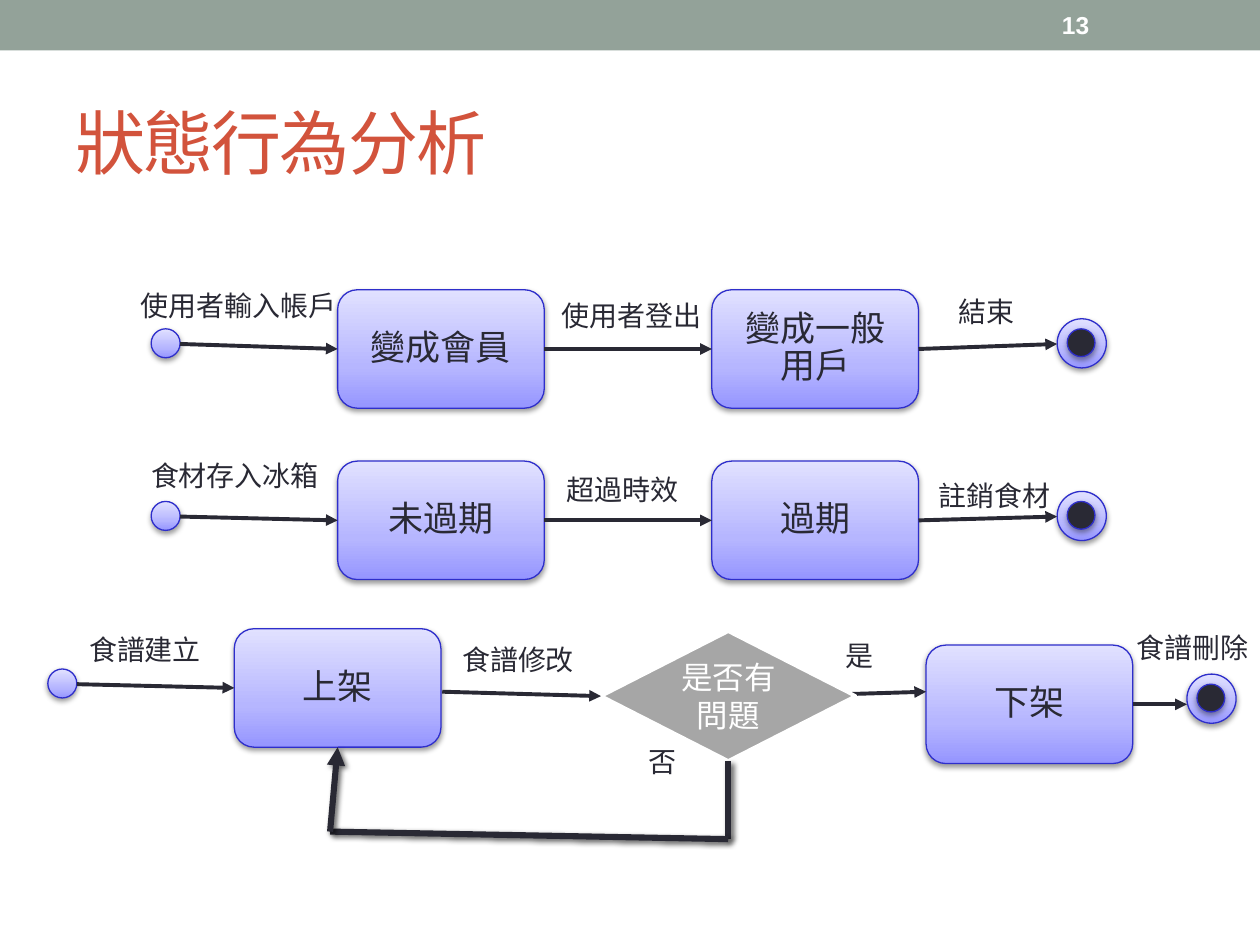
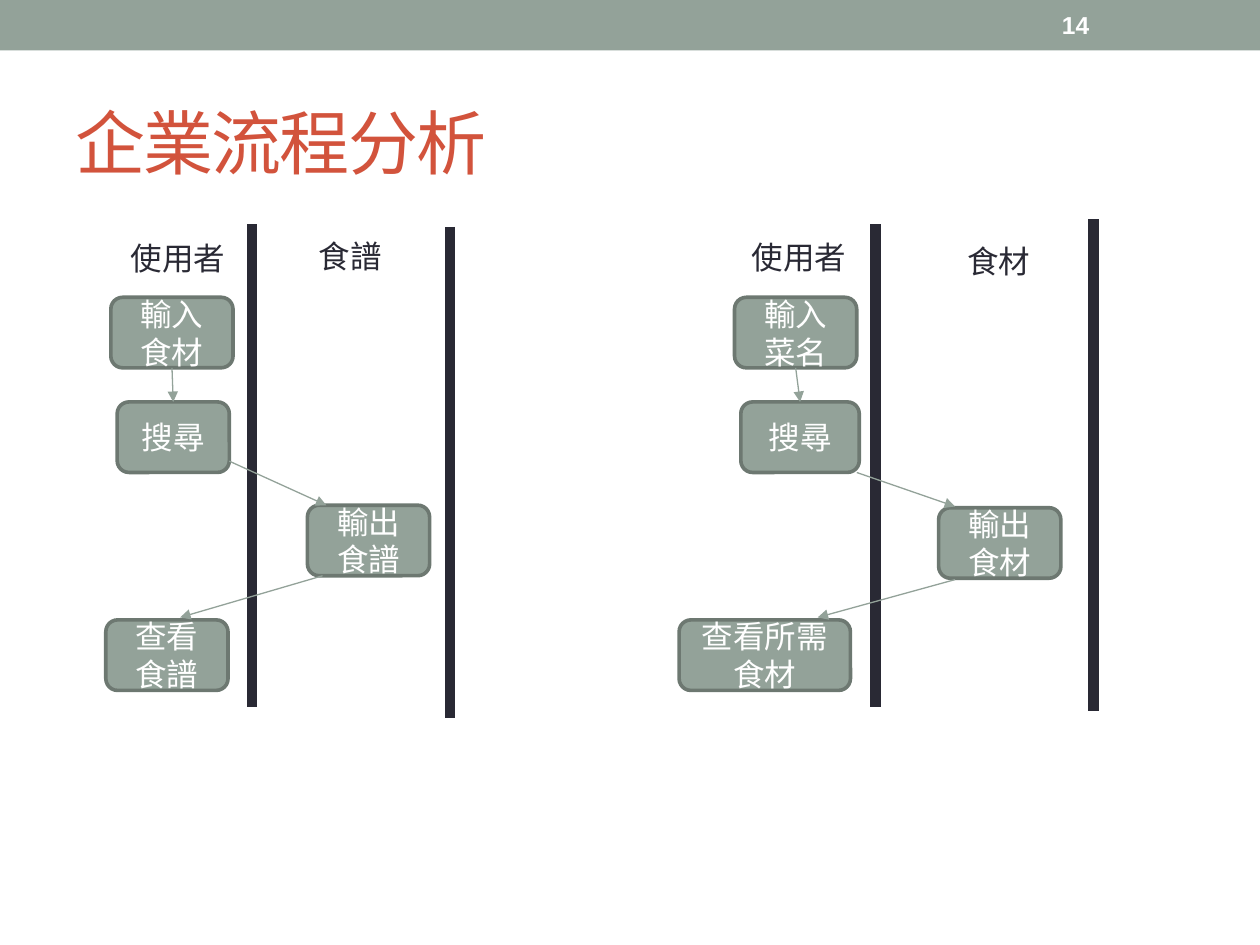
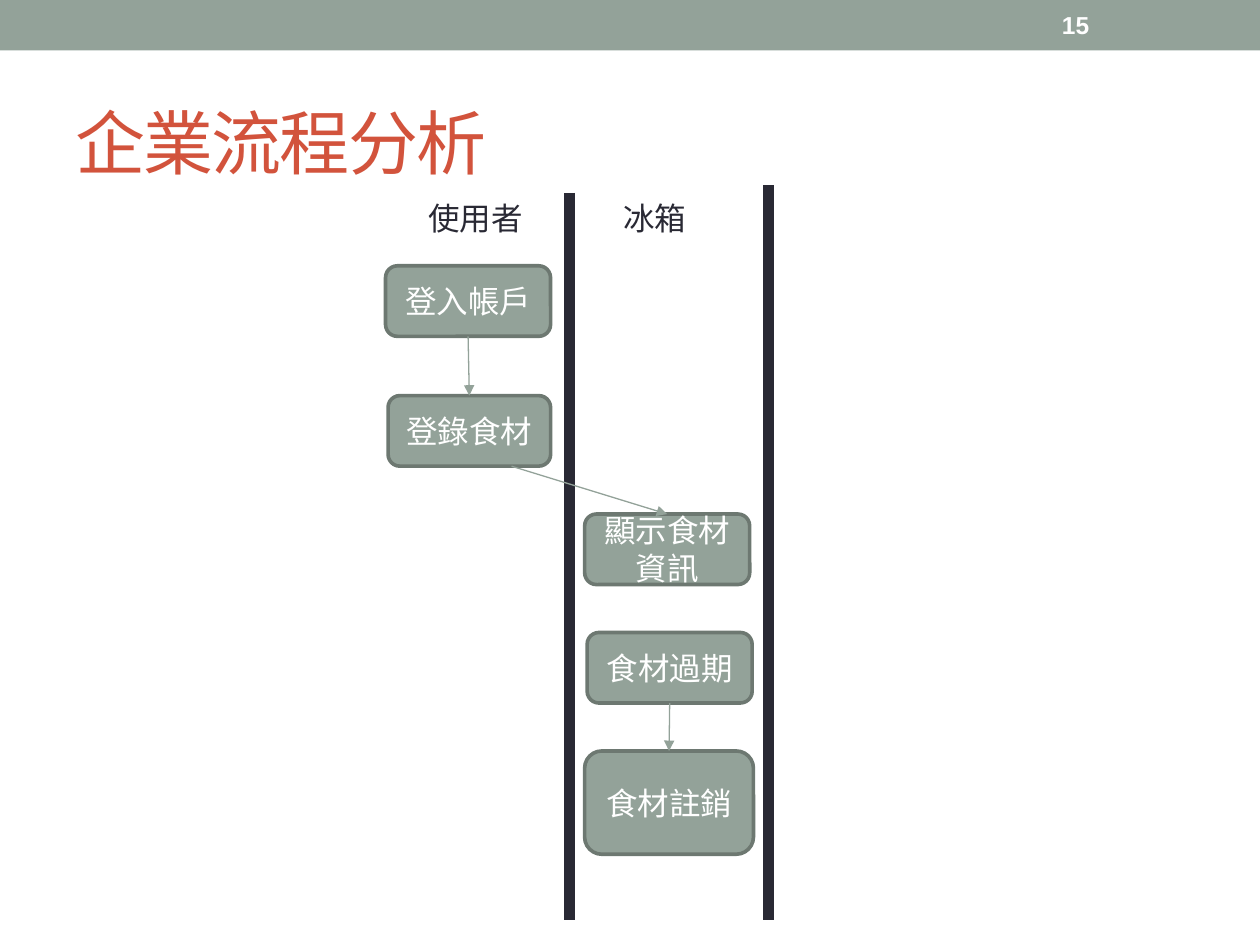
from copy import deepcopy

from lxml import etree
from pptx import Presentation
from pptx.dml.color import RGBColor
from pptx.enum.shapes import MSO_CONNECTOR, MSO_SHAPE
from pptx.enum.text import MSO_ANCHOR, PP_ALIGN
from pptx.oxml.ns import qn
from pptx.util import Inches, Pt

RECT, ROUND = MSO_SHAPE.RECTANGLE, MSO_SHAPE.ROUNDED_RECTANGLE
OVAL, DIAMOND = MSO_SHAPE.OVAL, MSO_SHAPE.DIAMOND
STRAIGHT = MSO_CONNECTOR.STRAIGHT
LEFT_ALIGN, CENTER = PP_ALIGN.LEFT, PP_ALIGN.CENTER
TOP_ANCHOR, MIDDLE = MSO_ANCHOR.TOP, MSO_ANCHOR.MIDDLE
TOP, LEFT, BOTTOM, RIGHT = range(4)


class Theme:
    sage, sage_dark, title = "93A299", "6D7871", "D2533C"
    ink, white, grey, state_line = "292934", "FFFFFF", "A6A6A6", "2E2ECB"
    state_fill = [(0, "9595FF"), (0.35, "B6B6FF"), (1, "E1E1FF")]
    # blur pt, distance pt, direction degrees, opacity %
    state_shadow, loop_shadow = (3.1, 1.6, 90, 38), (3, 2, 45, 60)
    font, cjk = "Arial", "Noto Sans CJK SC"
    title_size, number_size, state_size, step_size, label_size = 40, 14, 20, 18, 16
    state_spacing = 0.89


def add_box(s, kind, at, text="", size=Theme.step_size, color=Theme.ink, fill=None,
            line=None, width=0.75, font=Theme.font, align=CENTER, anchor=MIDDLE,
            spacing=None, bold=False, tracking=0):
    """Add a preset shape, or a text box when kind is None."""
    at = [Inches(v) for v in at]
    sp = s.shapes.add_shape(kind, *at) if kind else s.shapes.add_textbox(*at)
    if kind:
        sp.shadow.inherit = False
        if isinstance(fill, list):
            sp.fill.gradient()
            sp.fill.gradient_angle = 90
            stops = sp._element.spPr.find(".//" + qn("a:gsLst"))
            stops.insert(1, deepcopy(stops[0]))
            for stop, (position, rgb) in zip(sp.fill.gradient_stops, fill):
                stop.position = position
                stop.color.rgb = RGBColor.from_string(rgb)
        else:
            sp.fill.solid()
            sp.fill.fore_color.rgb = RGBColor.from_string(fill)
        if line:
            sp.line.color.rgb = RGBColor.from_string(line)
            sp.line.width = Pt(width)
        else:
            sp.line.fill.background()
    if text:
        tf = sp.text_frame
        tf.word_wrap = True
        tf.vertical_anchor = anchor
        p = tf.paragraphs[0]
        p.alignment = align
        p.line_spacing = spacing
        p.font.name, p.font.size, p.font.bold = font, Pt(size), bold
        p.font.color.rgb = RGBColor.from_string(color)
        r = p.add_run()
        r.text = text
        if tracking:
            r.font._element.set("spc", str(tracking * 100))
    return sp


def add_line(s, start, end, color=Theme.ink, width=2.25, arrow=True):
    """Each end is a point (x, y) or a joint (shape, side)."""
    c = s.shapes.add_connector(STRAIGHT, 0, 0, 0, 0)
    if hasattr(start[0], "shape_id"):
        c.begin_connect(*start)
    else:
        c.begin_x, c.begin_y = Inches(start[0]), Inches(start[1])
    if hasattr(end[0], "shape_id"):
        c.end_connect(*end)
    else:
        c.end_x, c.end_y = Inches(end[0]), Inches(end[1])
    c.line.color.rgb = RGBColor.from_string(color)
    c.line.width = Pt(width)
    if arrow:
        etree.SubElement(c.line._ln, qn("a:tailEnd"), type="triangle")
    etree.SubElement(c._element.spPr, qn("a:effectLst"))
    return c


prs = Presentation()
prs.slide_width, prs.slide_height = Inches(10), Inches(7.5)

# Band, title and page number on every slide
slides = []
for number, title in enumerate(["狀態行為分析", "企業流程分析", "企業流程分析"], 13):
    s = prs.slides.add_slide(prs.slide_layouts[6])
    add_box(s, RECT, (0, 0, 10, 0.4), fill=Theme.sage)
    add_box(s, None, (0.5, 0.58, 9, 1.08), title, Theme.title_size, Theme.title,
            align=LEFT_ALIGN, tracking=-1)
    add_box(s, None, (8.33, 0.02, 1.17, 0.36), str(number), Theme.number_size,
            Theme.white, align=LEFT_ALIGN, bold=True)
    slides.append(s)

# State diagram: start and end dots, states
s = slides[0]
state_style = dict(fill=Theme.state_fill, line=Theme.state_line)
shadowed = []
states = {}
for x, y in [(1.2, 2.61), (1.2, 3.98), (0.38, 5.31)]:
    shadowed.append(add_box(s, OVAL, (x, y, 0.23, 0.23), **state_style))
for x, y in [(8.39, 2.53), (8.39, 3.9), (9.42, 5.35)]:
    shadowed.append(add_box(s, OVAL, (x, y, 0.39, 0.39), **state_style))
    shadowed.append(add_box(s, OVAL, (x + 0.08, y + 0.08, 0.22, 0.22),
                            fill=Theme.ink, line=Theme.state_line))
for name, x, y in [("變成會員", 2.68, 2.3), ("變成一般用戶", 5.65, 2.3),
                   ("未過期", 2.68, 3.66), ("過期", 5.65, 3.66),
                   ("上架", 1.86, 4.99), ("下架", 7.35, 5.12)]:
    states[name] = add_box(s, ROUND, (x, y, 1.64, 0.94), name, Theme.state_size,
                           font=Theme.cjk, spacing=Theme.state_spacing, **state_style)
shadowed += states.values()

# Transitions of the two upper rows
for y, first, second in [(2.73, "變成會員", "變成一般用戶"), (4.1, "未過期", "過期")]:
    add_line(s, (1.43, y), (states[first], LEFT))
    add_line(s, (states[first], RIGHT), (states[second], LEFT))
    add_line(s, (states[second], RIGHT), (8.39, y))

# Recipe row with its decision and the way back
add_line(s, (6.69, 5.51), (7.35, 5.49))
decision = add_box(s, DIAMOND, (4.77, 5.01, 2.02, 1.03), "是否有問題",
                   color=Theme.white, fill=Theme.grey, line=Theme.white, width=2.08)
add_line(s, (0.61, 5.43), (states["上架"], LEFT))
add_line(s, (3.51, 5.49), (decision, LEFT))
add_line(s, (states["下架"], RIGHT), (9.42, 5.59))
corners = [(decision, BOTTOM), (5.78, 6.66), (2.62, 6.6), (states["上架"], BOTTOM)]
loop = [add_line(s, a, b, width=3.5, arrow=b is corners[-1])
        for a, b in zip(corners, corners[1:])]

# Transition labels
for text, x, y, w, align in [
        ("使用者輸入帳戶", 1.02, 2.27, 2, LEFT_ALIGN),
        ("使用者登出", 4.36, 2.35, 1.72, LEFT_ALIGN),
        ("結束", 7.51, 2.32, 1.41, LEFT_ALIGN),
        ("食材存入冰箱", 1.1, 3.62, 1.88, LEFT_ALIGN),
        ("超過時效", 4.4, 3.73, 1.72, LEFT_ALIGN),
        ("註銷食材", 7.35, 3.78, 1.41, LEFT_ALIGN),
        ("食譜建立", 0.61, 5, 2, LEFT_ALIGN),
        ("食譜修改", 3.57, 5.08, 1.72, LEFT_ALIGN),
        ("食譜刪除", 8.92, 4.99, 1.41, LEFT_ALIGN),
        ("是", 6.12, 5.05, 1.41, CENTER),
        ("否", 4.55, 5.89, 1.41, CENTER)]:
    add_box(s, None, (x, y, w, 0.34), text, Theme.label_size, font=Theme.cjk,
            align=align, anchor=TOP_ANCHOR, spacing=Theme.state_spacing)

# Shadows of the states and the way back
for group, shadow in [(shadowed, Theme.state_shadow), (loop, Theme.loop_shadow)]:
    blur, distance, direction, opacity = shadow
    for sp in group:
        effects = sp._element.spPr.find(qn("a:effectLst"))
        outer = etree.SubElement(effects, qn("a:outerShdw"), blurRad=str(Pt(blur)),
                                 dist=str(Pt(distance)), dir=str(direction * 60000),
                                 rotWithShape="0")
        rgb = etree.SubElement(outer, qn("a:srgbClr"), val="000000")
        etree.SubElement(rgb, qn("a:alpha"), val=str(opacity * 1000))

# Swimlanes: headings (text, x, y), dividers (x, top, bottom),
# steps (text, x, y, w, h) and arrows between points or (step, side)
lanes = [
    (slides[1],
     [("使用者", 0.94, 1.85), ("食譜", 2.43, 1.83)],
     [(2, 1.78, 5.61), (3.57, 1.8, 5.7)],
     [("輸入食材", 0.88, 2.36, 0.97, 0.56), ("搜尋", 0.93, 3.19, 0.89, 0.56),
      ("輸出食譜", 2.44, 4.01, 0.97, 0.56), ("查看食譜", 0.84, 4.92, 0.97, 0.56)],
     [(("輸入食材", BOTTOM), ("搜尋", TOP)), ((1.82, 3.66), (2.59, 4.01)),
      ((2.56, 4.57), (1.43, 4.9))]),
    (slides[1],
     [("使用者", 5.87, 1.84), ("食材", 7.58, 1.87)],
     [(6.95, 1.78, 5.61), (8.68, 1.74, 5.64)],
     [("輸入菜名", 5.83, 2.36, 0.97, 0.56), ("搜尋", 5.88, 3.19, 0.94, 0.56),
      ("輸出食材", 7.45, 4.03, 0.97, 0.56), ("查看所需食材", 5.39, 4.92, 1.36, 0.56)],
     [(("輸入菜名", BOTTOM), ("搜尋", TOP)), ((6.8, 3.75), (7.58, 4.02)),
      ((7.58, 4.6), (6.49, 4.9))]),
    (slides[2],
     [("使用者", 3.3, 1.53), ("冰箱", 4.85, 1.53)],
     [(4.52, 1.53, 7.3), (6.1, 1.47, 7.3)],
     [("登入帳戶", 3.06, 2.11, 1.31, 0.56), ("登錄食材", 3.08, 3.14, 1.29, 0.56),
      ("顯示食材資訊", 4.64, 4.08, 1.31, 0.56), ("食材過期", 4.66, 5.02, 1.31, 0.56),
      ("食材註銷", 4.64, 5.96, 1.34, 0.82)],
     [(("登入帳戶", BOTTOM), ("登錄食材", TOP)), ((4.06, 3.7), ("顯示食材資訊", TOP)),
      (("食材過期", BOTTOM), ("食材註銷", TOP))]),
]
for s, headings, dividers, steps, arrows in lanes:
    for text, x, y in headings:
        add_box(s, None, (x, y, 1.26, 0.29), text, align=LEFT_ALIGN, anchor=TOP_ANCHOR)
    for x, top, bottom in dividers:
        add_line(s, (x, top), (x, bottom), width=6, arrow=False)
    boxes = {}
    for text, *at in steps:
        boxes[text] = add_box(s, ROUND, at, text, color=Theme.white, fill=Theme.sage,
                              line=Theme.sage_dark, width=2.08)
    for ends in arrows:
        start, end = [(boxes[a], b) if a in boxes else (a, b) for a, b in ends]
        add_line(s, start, end, Theme.sage, 0.75)

prs.save("out.pptx")
